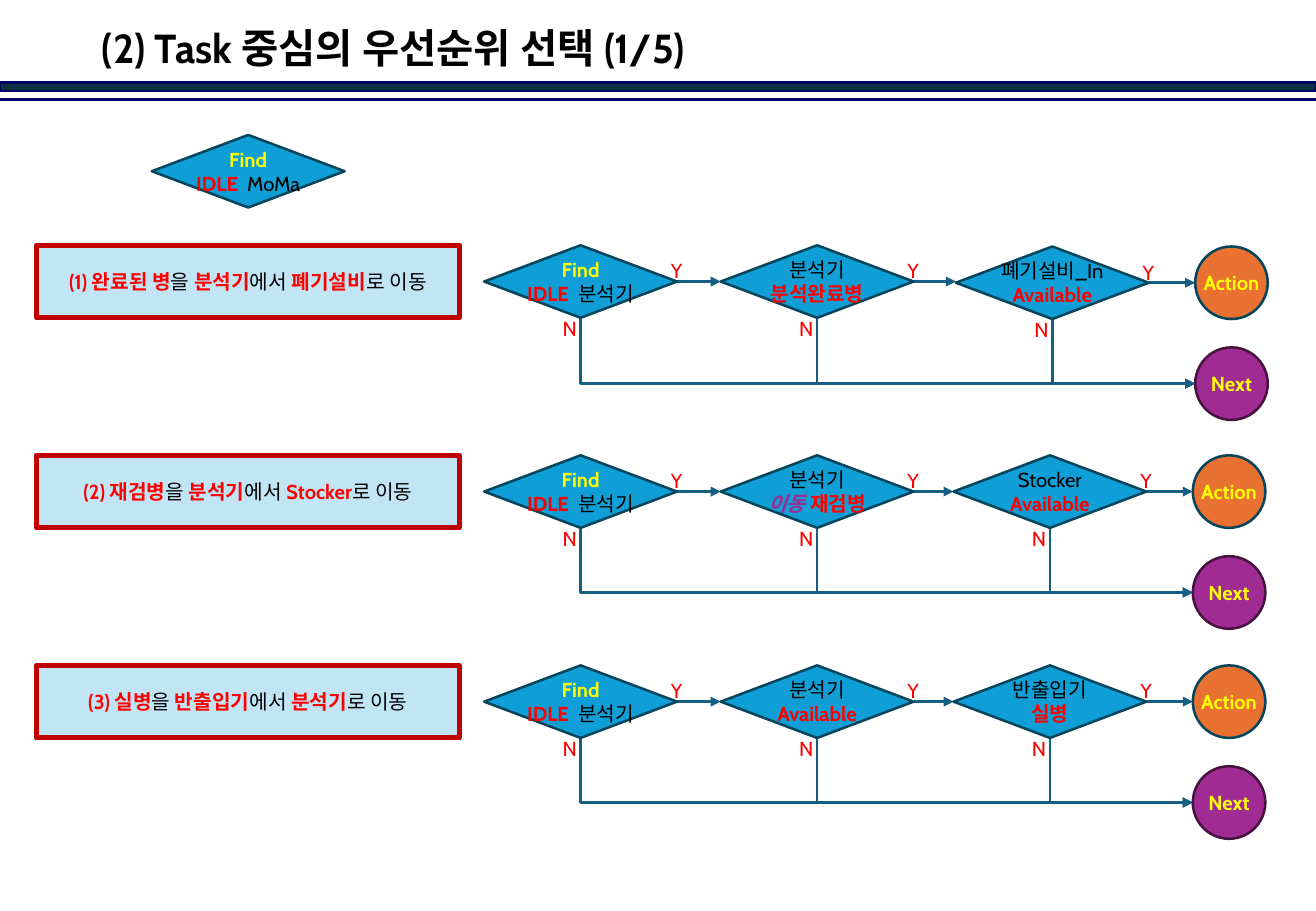
from lxml import etree
from pptx import Presentation
from pptx import util as u
from pptx.dml import color
from pptx.enum import shapes, text
from pptx.oxml import ns

FONT = "Cabin"
BLUE, NAVY, TEAL = "0F9ED5", "000066", "156082"
EDGE = "07455D"
FORMATS = {
    "title": {"size": u.Pt(24), "bold": True},
    "plain": {"size": u.Pt(12), "bold": False},
    "bold": {"size": u.Pt(12), "bold": True},
    "slanted": {"size": u.Pt(12), "bold": True, "italic": True},
}
STYLES = {  # style: (format, colour)
    "title": ("title", "000000"),
    "plain": ("plain", "000000"),
    "label": ("plain", "FF0000"),
    "red": ("bold", "FF0000"),
    "yellow": ("bold", "FFFF00"),
    "purple": ("slanted", "A02B93"),
}


def rgb(value):
    return color.RGBColor.from_string(value)


class FlowSlide:
    """Holds the current slide and draws its elements, with lengths in points."""

    def __init__(self, slide):
        self.slide = slide

    def fill_text(self, shape, lines, align=text.PP_ALIGN.CENTER, wrap=False):
        frame = shape.text_frame
        frame.word_wrap = wrap
        for index, runs in enumerate(lines):
            paragraph = frame.add_paragraph() if index else frame.paragraphs[0]
            paragraph.alignment = align
            for content, style in runs:
                format_name, ink = STYLES[style]
                run = paragraph.add_run()
                run.text = content
                run.font.name = FONT
                run.font.color.rgb = rgb(ink)
                for name, value in FORMATS[format_name].items():
                    setattr(run.font, name, value)
        return frame

    def box(self, kind, left, top, width, height, fill, edge, lines=(), weight=1.5):
        shape = self.slide.shapes.add_shape(
            kind, u.Pt(left), u.Pt(top), u.Pt(width), u.Pt(height))
        shape.shadow.inherit = False
        shape.fill.solid()
        shape.fill.fore_color.rgb = rgb(fill)
        shape.line.color.rgb = rgb(edge)
        shape.line.width = u.Pt(weight)
        frame = self.fill_text(shape, lines)
        frame.vertical_anchor = text.MSO_ANCHOR.MIDDLE

    def label(self, left, top, width, height, content):
        shape = self.slide.shapes.add_textbox(
            u.Pt(left), u.Pt(top), u.Pt(width), u.Pt(height))
        frame = self.fill_text(shape, [[(content, "label")]])
        frame.auto_size = text.MSO_AUTO_SIZE.SHAPE_TO_FIT_TEXT

    def title(self, left, top, width, height, content):
        shape = self.slide.shapes.add_textbox(
            u.Pt(left), u.Pt(top), u.Pt(width), u.Pt(height))
        frame = self.fill_text(shape, [[(content, "title")]], text.PP_ALIGN.LEFT, True)
        frame.vertical_anchor = text.MSO_ANCHOR.MIDDLE
        frame.paragraphs[0].line_spacing = 0.9

    def line(self, x1, y1, x2, y2, ink=TEAL, arrow=True,
             kind=shapes.MSO_CONNECTOR.STRAIGHT):
        connector = self.slide.shapes.add_connector(
            kind, u.Pt(x1), u.Pt(y1), u.Pt(x2), u.Pt(y2))
        connector.line.color.rgb = rgb(ink)
        connector.line.width = u.Pt(1.5)
        properties = connector._element.spPr
        if arrow:
            etree.SubElement(properties.find(ns.qn("a:ln")),
                             ns.qn("a:tailEnd"), type="triangle")
        etree.SubElement(properties, ns.qn("a:effectLst"))
        return connector

    def elbow(self, x1, y1, x2, y2):
        """Runs down and then right: a turned and mirrored one-bend connector."""
        run, drop = x2 - x1, y2 - y1
        left, top = (x1 + x2 - drop) / 2, (y1 + y2 - run) / 2
        connector = self.line(left, top, left + drop, top + run,
                              kind=shapes.MSO_CONNECTOR.ELBOW)
        properties = connector._element.spPr
        properties.find(ns.qn("a:prstGeom")).set("prst", "bentConnector2")
        frame = properties.find(ns.qn("a:xfrm"))
        frame.set("rot", "16200000")
        frame.set("flipH", "1")


DIAMOND, CIRCLE, RECTANGLE = (shapes.MSO_SHAPE.DIAMOND, shapes.MSO_SHAPE.OVAL,
                              shapes.MSO_SHAPE.RECTANGLE)
DIAMOND_WIDTH, HEIGHT = 114.3, 43
DIAMOND_LEFTS = (287, 427.2, 565.2)
CIRCLE_LEFT, NEXT_DROP = 707, 59.8
FIRST_TOP, ROW_PITCH = 145.4, 124.5


def find_idle(target):
    return [[("Find", "yellow")], [("IDLE  ", "red"), (target, "plain")]]


def check(subject, *condition):
    return [[(subject, "plain")], list(condition)]


AVAILABLE = ("Available", "red")
ROWS = [  # task, second check, third check, shift of the right-hand end
    ([("(1) 완료된 병", "red"), ("을 ", "plain"), ("분석기", "red"),
      ("에서 ", "plain"), ("폐기설비", "red"), ("로 이동", "plain")],
     check("분석기", ("분석완료병", "red")), check("폐기설비_In", AVAILABLE), 1.4),
    ([("(2) 재검병", "red"), ("을 ", "plain"), ("분석기", "red"),
      ("에서 ", "plain"), ("Stocker", "red"), ("로 이동", "plain")],
     check("분석기", ("이동 ", "purple"), ("재검병", "red")),
     check("Stocker", AVAILABLE), 0),
    ([("(3) 실병", "red"), ("을 ", "plain"), ("반출입기", "red"),
      ("에서 ", "plain"), ("분석기", "red"), ("로 이동", "plain")],
     check("분석기", AVAILABLE), check("반출입기", ("실병", "red")), 0),
]


def draw_row(flow, top, task, checks, shift):
    flow.box(RECTANGLE, 21.6, top, 250.6, HEIGHT, "C1E5F5", "C00000", [task], 3)
    lefts = [*DIAMOND_LEFTS[:2], DIAMOND_LEFTS[2] + shift]
    tops = [top, top, top + shift / 2]
    circle_left, circle_top = CIRCLE_LEFT + shift, tops[2]
    next_top = circle_top + NEXT_DROP

    # Arrows
    for left, step_top, target in zip(lefts, tops, [*lefts[1:], circle_left]):
        middle = step_top + HEIGHT / 2
        flow.line(left + DIAMOND_WIDTH, middle, target, middle)
        flow.elbow(left + DIAMOND_WIDTH / 2, step_top + HEIGHT,
                   circle_left, next_top + HEIGHT / 2)

    # Decisions with their branch labels
    for left, step_top, lines in zip(lefts, tops, checks):
        flow.box(DIAMOND, left, step_top, DIAMOND_WIDTH, HEIGHT, BLUE, EDGE, lines)
    for left, step_top in zip(lefts, tops):
        flow.label(left + DIAMOND_WIDTH - 10.7, step_top + 4.4, 20.9, 21.6, "Y")
        flow.label(left + DIAMOND_WIDTH / 2 - 18, step_top + 38.4, 23, 21.6, "N")

    # Outcomes
    flow.box(CIRCLE, circle_left, circle_top, HEIGHT, HEIGHT, "E97132", EDGE,
             [[("Action", "yellow")]])
    flow.box(CIRCLE, circle_left, next_top, HEIGHT, HEIGHT, "A02B93", "461340",
             [[("Next", "yellow")]])


def main():
    presentation = Presentation()
    presentation.slide_width, presentation.slide_height = u.Pt(780), u.Pt(540)
    flow = FlowSlide(presentation.slides.add_slide(presentation.slide_layouts[6]))

    # Header
    flow.box(RECTANGLE, 0, 49, 780, 5, "0B3041", NAVY)
    flow.line(0, 59, 780, 59, NAVY, arrow=False)
    flow.title(53.3, 10.8, 673.2, 38.2, "(2) Task 중심의 우선순위 선택 (1/5)")

    # Starting decision
    flow.box(DIAMOND, 90, 80, DIAMOND_WIDTH, HEIGHT, BLUE, EDGE, find_idle("MoMa"))

    # Task rows
    for index, (task, second, third, shift) in enumerate(ROWS):
        draw_row(flow, FIRST_TOP + index * ROW_PITCH, task,
                 [find_idle("분석기"), second, third], shift)

    presentation.save("out.pptx")


if __name__ == "__main__":
    main()
